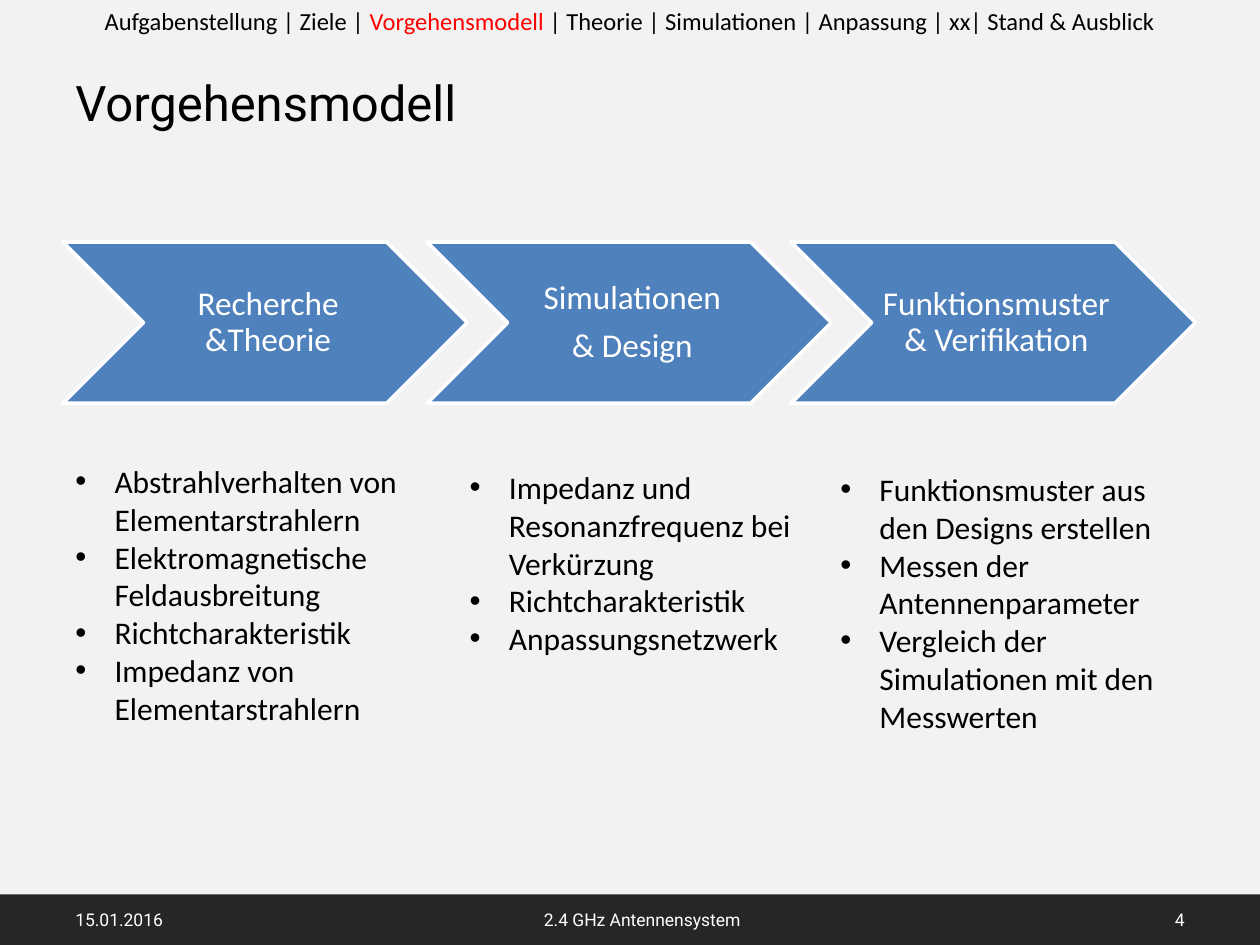
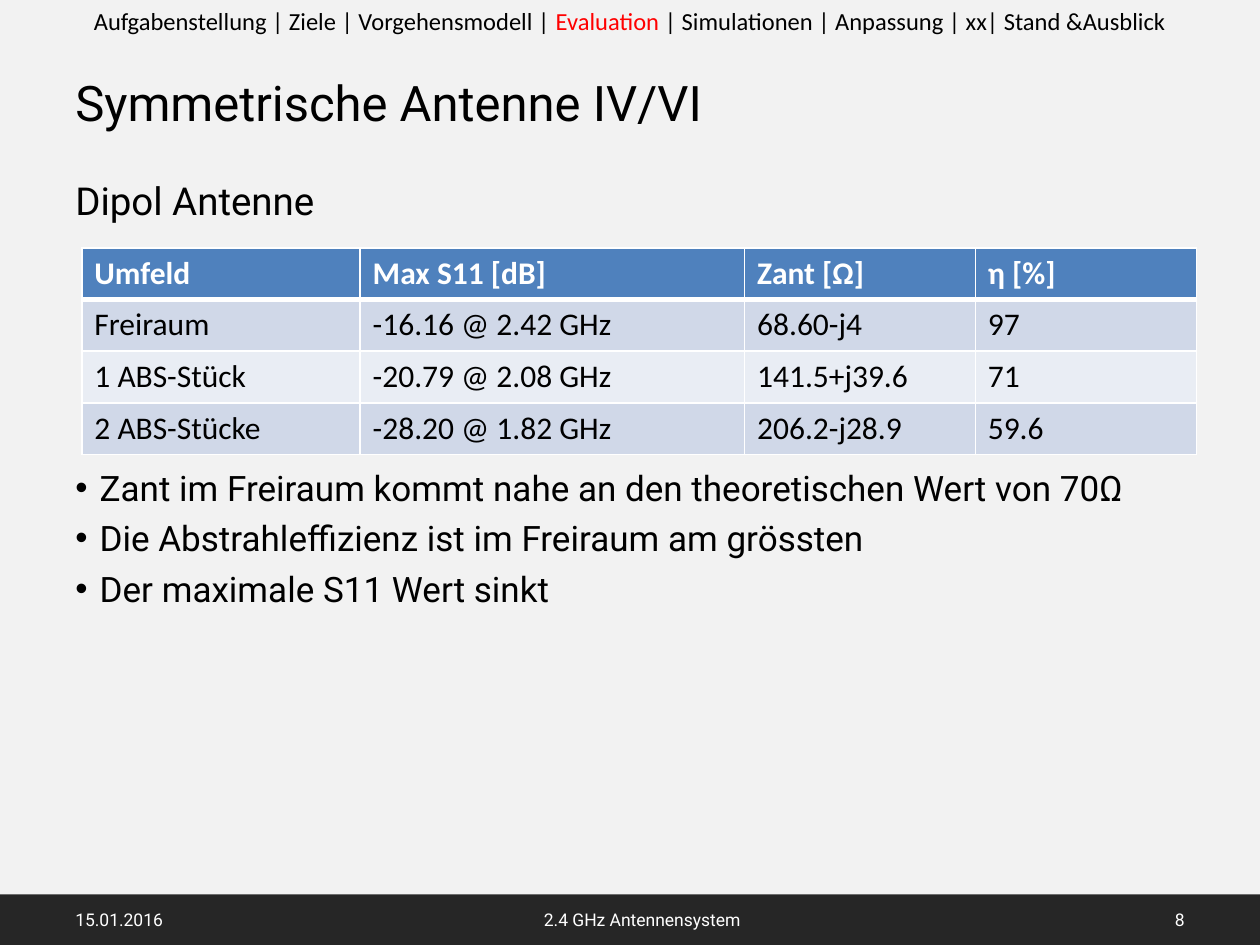
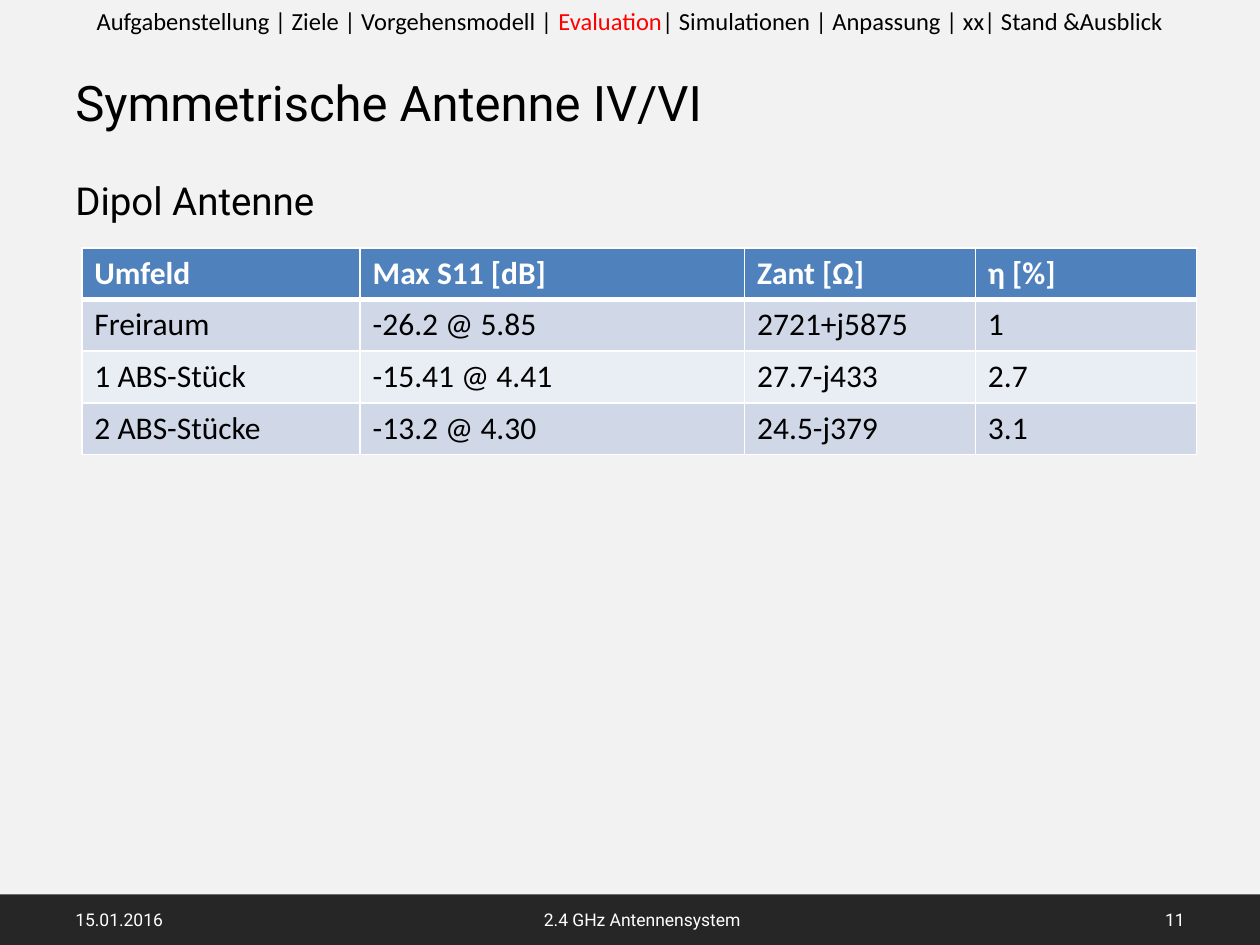
from lxml.etree import SubElement as Sub
from pptx import Presentation as Deck
from pptx.dml.color import RGBColor as Rgb
from pptx.enum.shapes import MSO_SHAPE as Kind
from pptx.enum.text import MSO_ANCHOR as Anchor, PP_ALIGN as Align
from pptx.oxml.ns import qn
from pptx.util import Cm, Pt

HUES = {
    "back": "F2F2F2", "band": "262626", "blue": "4F81BD", "white": "FFFFFF",
    "black": "000000", "red": "FF0000", "odd": "D0D8E8", "even": "E9EDF4",
}
WIDE, HIGH = 25.4, 19.05
EDGE, BODY = 1.27, 22.86
FOOT, BAND = 18.03, 1.02
DATE, TOPIC = "15.01.2016", "2.4 GHz Antennensystem"
COLS = (5.61, 7.75, 4.65, 4.46)
HEAD = ("Umfeld", "Max S11 [dB]", "Zant [Ω]", "η [%]")


def hue(name):
    """Return the named colour."""
    return Rgb.from_string(HUES[name])


def dot(para, hang):
    """Give a paragraph a bullet with a hanging indent in cm."""
    prop = para._p.get_or_add_pPr()
    prop.set("marL", str(Cm(hang)))
    prop.set("indent", str(-Cm(hang)))
    Sub(prop, qn("a:buFont"), typeface="Arial")
    Sub(prop, qn("a:buChar"), char="•")


def write(frame, paras, size=18, font="Calibri", color="black", bold=False,
          align=Align.LEFT, anchor=Anchor.TOP, line=None, gap=0, after=0, hang=0):
    """Fill a text frame; a paragraph is a string or a list of (text, colour)."""
    frame.word_wrap = True
    frame.vertical_anchor = anchor
    for num, item in enumerate(paras):
        para = frame.add_paragraph() if num else frame.paragraphs[0]
        para.alignment = align
        para.space_before = Pt(gap if num else 0)
        para.space_after = Pt(after)
        if line:
            para.line_spacing = line
        if hang:
            dot(para, hang)
        for text, tone in [(item, color)] if isinstance(item, str) else item:
            run = para.add_run()
            run.text = text
            run.font.size = Pt(size)
            run.font.name = font
            run.font.bold = bold
            run.font.color.rgb = hue(tone)


def label(slide, left, top, width, height, paras, **form):
    """Add a text box."""
    box = slide.shapes.add_textbox(Cm(left), Cm(top), Cm(width), Cm(height))
    write(box.text_frame, paras, **form)


def block(slide, kind, left, top, width, height, fill):
    """Add a filled shape with neither shadow nor outline."""
    shape = slide.shapes.add_shape(kind, Cm(left), Cm(top), Cm(width), Cm(height))
    shape.shadow.inherit = False
    shape.fill.solid()
    shape.fill.fore_color.rgb = hue(fill)
    shape.line.fill.background()
    return shape


def arrow(slide, left, paras):
    """Add a chevron of the process with its caption."""
    shape = block(slide, Kind.CHEVRON, left, 4.88, 8.15, 3.25, "blue")
    shape.line.color.rgb = hue("white")
    shape.line.width = Pt(2)
    frame = shape.text_frame
    frame.margin_left = Cm(0.2)
    frame.margin_right = frame.margin_top = frame.margin_bottom = Cm(0.08)
    write(frame, paras, size=19, color="white", align=Align.CENTER,
          anchor=Anchor.MIDDLE, line=0.9, after=6.65)


def rule(cell, side, width):
    """Draw a white border on one side of a cell."""
    prop = cell._tc.get_or_add_tcPr()
    edge = Sub(prop, qn("a:ln" + side), w=str(Pt(width)))
    Sub(Sub(edge, qn("a:solidFill")), qn("a:srgbClr"), val=HUES["white"])


def grid(slide, rows):
    """Add the table of measured values."""
    rows = [HEAD, *rows]
    tall = Cm(1.04)
    table = slide.shapes.add_table(len(rows), len(COLS), Cm(1.65), Cm(5),
                                   Cm(sum(COLS)), tall * len(rows)).table
    for col, width in zip(table.columns, COLS):
        col.width = Cm(width)
    for row, vals in enumerate(rows):
        table.rows[row].height = tall
        fill = ("odd" if row % 2 else "even") if row else "blue"
        for col, text in enumerate(vals):
            cell = table.cell(row, col)
            for side in "LRTB":
                thick = (row, side) in ((0, "B"), (1, "T"))
                rule(cell, side, 3 if thick else 1)
            cell.fill.solid()
            cell.fill.fore_color.rgb = hue(fill)
            write(cell.text_frame, [text], bold=not row,
                  color="black" if row else "white")


def page(deck, num, title, trail):
    """Add a slide with trail, title and footer."""
    slide = deck.slides.add_slide(deck.slide_layouts[6])
    slide.background.fill.solid()
    slide.background.fill.fore_color.rgb = hue("back")
    block(slide, Kind.RECTANGLE, 0, FOOT, WIDE, BAND, "band")
    label(slide, EDGE, 1.32, BODY, 1.47, [title], size=28, font="Roboto",
          anchor=Anchor.MIDDLE)
    for left, width, text, align in (
        (EDGE, 5.92, DATE, Align.LEFT),
        (8.69, 8.51, TOPIC, Align.CENTER),
        (18.21, 5.92, str(num), Align.RIGHT),
    ):
        label(slide, left, FOOT, width, BAND, [text], size=10, font="Roboto",
              color="white", align=align, anchor=Anchor.MIDDLE)
    parts = list(zip(trail, ("black", "red", "black")))
    label(slide, 0, 0, WIDE, 0.86, [parts], size=14, align=Align.CENTER)
    return slide


def model(deck):
    """Build the slide on the process model."""
    slide = page(deck, 4, "Vorgehensmodell", (
        "Aufgabenstellung | Ziele | ", "Vorgehensmodell",
        " | Theorie | Simulationen | Anpassung | xx| Stand & Ausblick"))
    steps = (
        ["Recherche &Theorie"],
        ["Simulationen", "& Design"],
        ["Funktionsmuster & Verifikation"],
    )
    for num, step in enumerate(steps):
        arrow(slide, EDGE + 7.34 * num, step)
    tasks = (
        (1.27, 9.19, ["Abstrahlverhalten von Elementarstrahlern",
                      "Elektromagnetische Feldausbreitung",
                      "Richtcharakteristik",
                      "Impedanz von Elementarstrahlern"]),
        (9.22, 9.31, ["Impedanz und Resonanzfrequenz bei Verkürzung",
                      "Richtcharakteristik",
                      "Anpassungsnetzwerk"]),
        (16.69, 9.35, ["Funktionsmuster aus den Designs erstellen",
                       "Messen der Antennenparameter",
                       "Vergleich der Simulationen mit den Messwerten"]),
    )
    for left, top, items in tasks:
        label(slide, left, top, 7.01, 5.64, items, hang=0.79)


def dipole(deck, num, trail, rows, notes=()):
    """Build a slide on the dipole with its table and remarks."""
    slide = page(deck, num, "Symmetrische Antenne IV/VI", trail)
    label(slide, EDGE, 3.45, BODY, 1.2, ["Dipol Antenne"], size=22, font="Roboto")
    grid(slide, rows)
    if notes:
        label(slide, EDGE, 9.28, BODY, 3.4, notes, size=20, font="Roboto",
              gap=4.7, hang=0.49)


def main():
    """Build and save the deck."""
    deck = Deck()
    deck.slide_width, deck.slide_height = Cm(WIDE), Cm(HIGH)
    model(deck)
    past = "Aufgabenstellung | Ziele | Vorgehensmodell | "
    rest = "| Simulationen | Anpassung | xx| Stand &Ausblick"
    dipole(deck, 8, (past, "Evaluation ", rest), [
        ("Freiraum", "-16.16 @ 2.42 GHz", "68.60-j4", "97"),
        ("1 ABS-Stück", "-20.79 @ 2.08 GHz", "141.5+j39.6", "71"),
        ("2 ABS-Stücke", "-28.20 @ 1.82 GHz", "206.2-j28.9", "59.6"),
    ], [
        "Zant im Freiraum kommt nahe an den theoretischen Wert von 70Ω",
        "Die Abstrahleffizienz ist im Freiraum am grössten",
        "Der maximale S11 Wert sinkt",
    ])
    dipole(deck, 11, (past, "Evaluation", rest), [
        ("Freiraum", "-26.2 @ 5.85", "2721+j5875", "1"),
        ("1 ABS-Stück", "-15.41 @ 4.41", "27.7-j433", "2.7"),
        ("2 ABS-Stücke", "-13.2 @ 4.30", "24.5-j379", "3.1"),
    ])
    deck.save("out.pptx")


if __name__ == "__main__":
    main()
